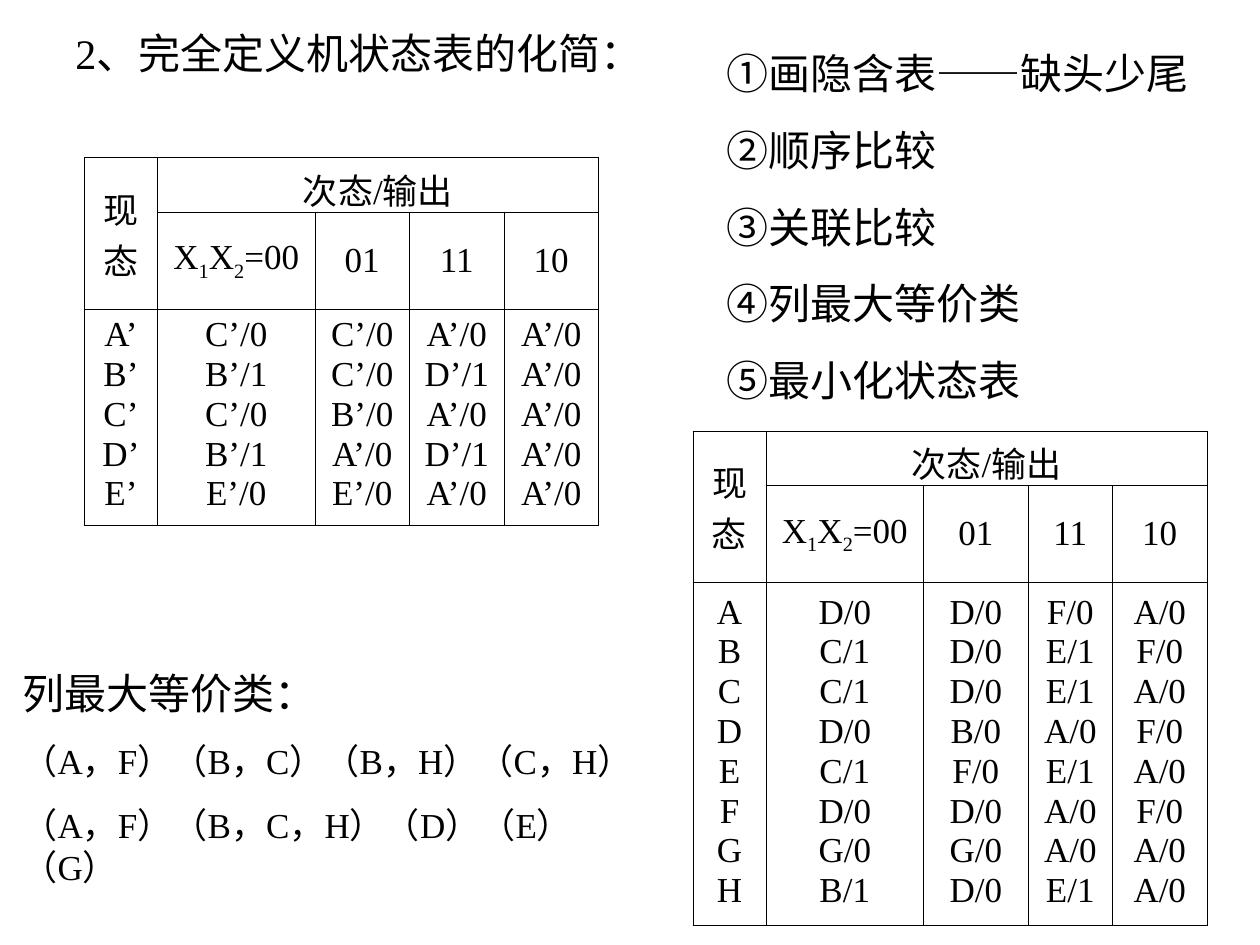
from dataclasses import dataclass

from lxml.etree import SubElement
from pptx import Presentation
from pptx.dml.color import RGBColor
from pptx.enum.text import MSO_ANCHOR, MSO_AUTO_SIZE, PP_ALIGN
from pptx.oxml.ns import qn
from pptx.util import Inches, Pt


@dataclass(frozen=True)
class Theme:
    font: str = "Times New Roman"
    ink: str = "000000"
    heading: int = 24
    body: int = 20
    border: float = 0.45


class SlideBuilder:
    def __init__(self, slide, theme):
        self.s = slide
        self.theme = theme

    def style(self, p, size, space_before=0):
        p.font.name = self.theme.font
        p.font.size = Pt(size)
        p.font.color.rgb = RGBColor.from_string(self.theme.ink)
        p.space_before = Pt(space_before)

    def text(self, left, top, width, height, lines):
        """Add a text box; lines are (text, size, space before)."""
        box = self.s.shapes.add_textbox(
            Inches(left), Inches(top), Inches(width), Inches(height))
        tf = box.text_frame
        tf.word_wrap = True
        tf.auto_size = MSO_AUTO_SIZE.SHAPE_TO_FIT_TEXT
        for i, (text, size, gap) in enumerate(lines):
            p = tf.add_paragraph() if i else tf.paragraphs[0]
            p.text = text
            self.style(p, size, gap if i else 0)

    def border(self, cell):
        tc_pr = cell._tc.get_or_add_tcPr()
        for side in ("lnL", "lnR", "lnT", "lnB"):
            ln = SubElement(tc_pr, qn(f"a:{side}"), w=str(Pt(self.theme.border)))
            fill = SubElement(ln, qn("a:solidFill"))
            SubElement(fill, qn("a:srgbClr"), val=self.theme.ink)
        cell.fill.background()

    def cell(self, cell, lines, line_spacing=None):
        """Fill a cell; each line is a list of (text, is subscript) runs."""
        cell.vertical_anchor = MSO_ANCHOR.MIDDLE
        tf = cell.text_frame
        for i, runs in enumerate(lines):
            p = tf.add_paragraph() if i else tf.paragraphs[0]
            p.alignment = PP_ALIGN.CENTER
            if line_spacing:
                p.line_spacing = line_spacing
            for text, subscript in runs:
                r = p.add_run()
                r.text = text
                if subscript:
                    r._r.get_or_add_rPr().set("baseline", "-25000")
            self.style(p, self.theme.body, 5 if i else 0)

    def state_table(self, left, top, widths, heights, states):
        """Add a state table; each state is 'present next/output ...'."""
        table = self.s.shapes.add_table(
            len(heights), len(widths), Inches(left), Inches(top),
            Inches(sum(widths)), Inches(sum(heights))).table
        table.first_row = table.horz_banding = False
        for column, width in zip(table.columns, widths):
            column.width = Inches(width)
        for row, height in zip(table.rows, heights):
            row.height = Inches(height)
        for cell in table.iter_cells():
            self.border(cell)

        # Header rows
        table.cell(0, 0).merge(table.cell(1, 0))
        table.cell(0, 1).merge(table.cell(0, len(widths) - 1))
        self.cell(table.cell(0, 0), [[("现态", False)]])
        self.cell(table.cell(0, 1), [[("次态/输出", False)]])
        inputs = [("X", False), ("1", True), ("X", False), ("2", True), ("=00", False)]
        self.cell(table.cell(1, 1), [inputs])
        for c, value in enumerate(("01", "11", "10"), start=2):
            self.cell(table.cell(1, c), [[(value, False)]])

        # All states share the last row, one paragraph each
        for c, column in enumerate(zip(*(state.split() for state in states))):
            self.cell(table.cell(2, c), [[(v, False)] for v in column], 0.8)


def main():
    prs = Presentation()
    prs.slide_width, prs.slide_height = Inches(10), Inches(7.5)
    theme = Theme()
    b = SlideBuilder(prs.slides.add_slide(prs.slide_layouts[6]), theme)

    # Title and reduced table
    b.text(0.5, 0.17, 4.5, 0.9, [("2、完全定义机状态表的化简：", theme.heading, 0)])
    b.state_table(0.67, 1.25, (0.58, 1.25, 0.75, 0.75, 0.75), (0.43, 0.77, 1.71), (
        "A’ C’/0 C’/0 A’/0 A’/0",
        "B’ B’/1 C’/0 D’/1 A’/0",
        "C’ C’/0 B’/0 A’/0 A’/0",
        "D’ B’/1 A’/0 D’/1 A’/0",
        "E’ E’/0 E’/0 A’/0 A’/0",
    ))

    # Steps
    steps = ("①画隐含表——缺头少尾", "②顺序比较", "③关联比较",
             "④列最大等价类", "⑤最小化状态表")
    b.text(5.67, 0.33, 3.92, 2.94, [(step, theme.heading, 15) for step in steps])

    # Maximal equivalence classes
    b.text(0.08, 5.25, 5.25, 2.25, [
        ("列最大等价类：", theme.heading, 0),
        ("（A，F）（B，C）（B，H）（C，H）", theme.body, 12.5),
        ("（A，F）（B，C，H）（D）（E）（G）", theme.body, 12.5),
    ])

    # Full table
    b.state_table(5.5, 3.42, (0.58, 1.25, 0.83, 0.67, 0.75), (0.43, 0.77, 2.72), (
        "A D/0 D/0 F/0 A/0",
        "B C/1 D/0 E/1 F/0",
        "C C/1 D/0 E/1 A/0",
        "D D/0 B/0 A/0 F/0",
        "E C/1 F/0 E/1 A/0",
        "F D/0 D/0 A/0 F/0",
        "G G/0 G/0 A/0 A/0",
        "H B/1 D/0 E/1 A/0",
    ))

    prs.save("out.pptx")


if __name__ == "__main__":
    main()
